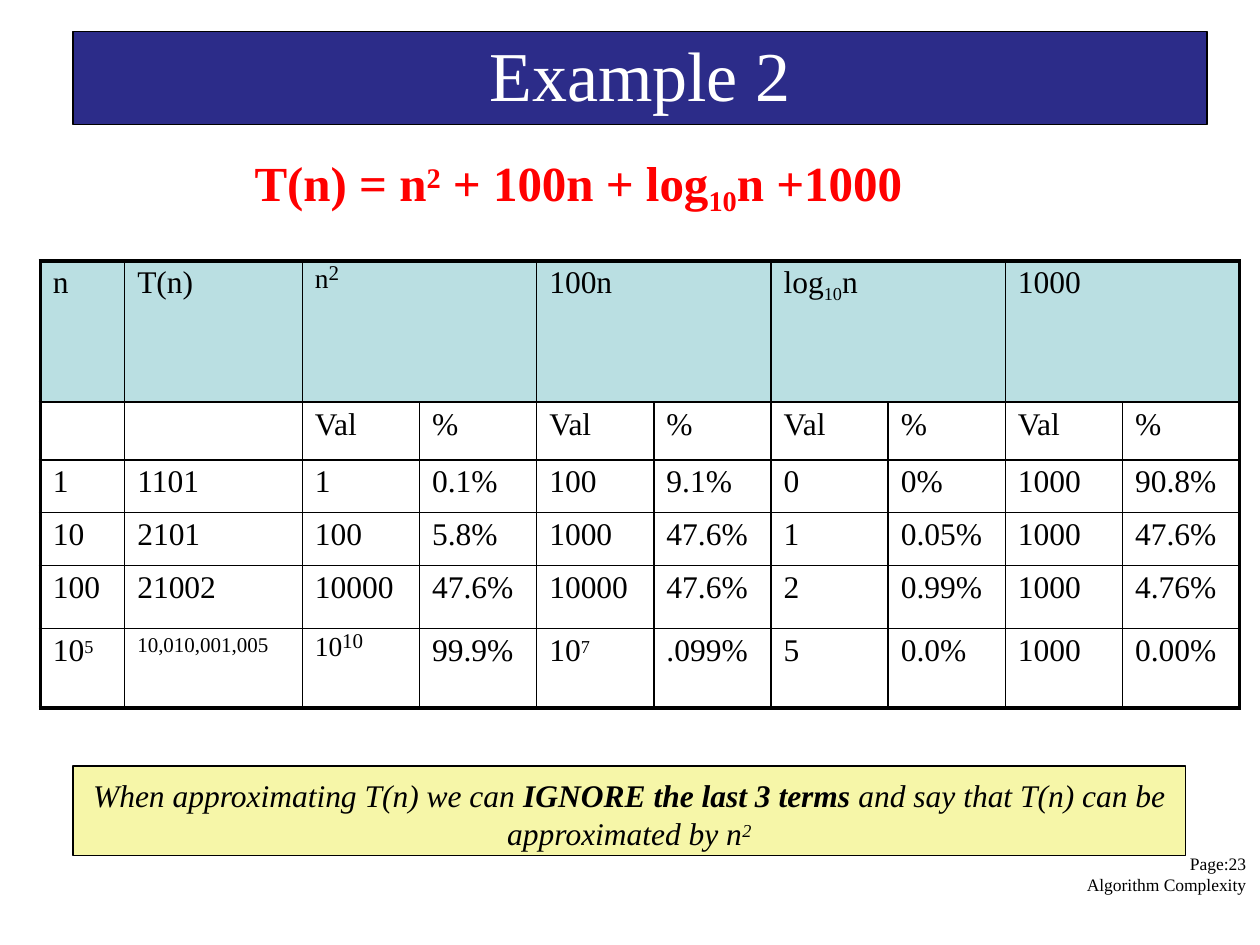
import pptx
import pptx.dml.color
import pptx.enum.shapes
import pptx.enum.text
import pptx.oxml
import pptx.oxml.ns
import pptx.util

Inches = pptx.util.Inches
Pt = pptx.util.Pt
RGBColor = pptx.dml.color.RGBColor
ALIGN = pptx.enum.text.PP_ALIGN

NAVY = RGBColor(0x2C, 0x2C, 0x89)
WHITE = RGBColor(0xFF, 0xFF, 0xFF)
BLACK = RGBColor(0, 0, 0)
RED = RGBColor(0xFF, 0, 0)
TEAL = RGBColor(0xBA, 0xDF, 0xE2)
CREAM = RGBColor(0xF6, 0xF6, 0xA8)
FACE = "Times New Roman"

COLS = [0.67, 1.41] + [0.93] * 8
ROWS = [1.12, 0.46, 0.42, 0.42, 0.5, 0.63]


def tall(base, power):
    """Return the runs of a lowered large base with a small power."""
    return [(base, -17, 27), (power, 0, 12)]


HEAD = ["n", "T(n)", tall("n", "2"), "100n", ["log", ("10", -21), "n"], "1000"]
BODY = [
    ["", ""] + ["Val", "%"] * 4,
    ["1", "1101", "1", "0.1%", "100", "9.1%", "0", "0%", "1000", "90.8%"],
    ["10", "2101", "100", "5.8%", "1000", "47.6%", "1", "0.05%", "1000", "47.6%"],
    ["100", "21002", "10000", "47.6%", "10000", "47.6%", "2", "0.99%", "1000", "4.76%"],
    [["10", ("5", 25)], [("10,010,001,005", 0, 12)], tall("10", "10"), "99.9%",
     ["10", ("7", 25)], ".099%", "5", "0.0%", "1000", "0.00%"],
]


def write(par, runs, size, color=BLACK, align=ALIGN.LEFT):
    """Fill a paragraph with runs given as text or (text, baseline, size)."""
    par.alignment = align
    par.font.name = FACE
    par.font.size = Pt(size)
    par.font.color.rgb = color
    for item in [runs] if isinstance(runs, str) else runs:
        text, base, *own = (item, 0) if isinstance(item, str) else item
        run = par.add_run()
        run.text = text
        if base:
            run.font._element.set("baseline", str(base * 1000))
        if own:
            run.font.size = Pt(own[0])
    return par


def pad(frame, top=0):
    """Wrap a text frame and leave only a top margin."""
    frame.word_wrap = True
    frame.auto_size = pptx.enum.text.MSO_AUTO_SIZE.NONE
    frame.vertical_anchor = pptx.enum.text.MSO_ANCHOR.TOP
    frame.margin_left = frame.margin_right = frame.margin_bottom = 0
    frame.margin_top = Inches(top)
    return frame.paragraphs[0]


def paint(shape, color):
    """Give a shape a solid fill and a thin black line."""
    shape.fill.solid()
    shape.fill.fore_color.rgb = color
    shape.line.color.rgb = BLACK
    shape.line.width = Pt(0.75)


def add_title(slide, left, top, width, height):
    """Place the title banner."""
    title = slide.shapes.title
    title.left, title.top, title.width, title.height = left, top, width, height
    paint(title, NAVY)
    write(pad(title.text_frame), "Example 2", 40, WHITE, ALIGN.CENTER)


def add_sum(slide, left, top, width, height):
    """Place the formula for T(n)."""
    box = slide.shapes.add_textbox(left, top, width, height)
    runs = ["T(n) = n", ("2", 26), " + 100n + log", ("10", -21), "n +1000"]
    par = write(pad(box.text_frame, 0.02), runs, 28, RED)
    par.font.bold = True
    box.text_frame.margin_left = Inches(0.04)


def edge(cell, side, width):
    """Draw one black border of a cell."""
    line = pptx.oxml.parse_xml(
        f'<a:ln{side} {pptx.oxml.ns.nsdecls("a")} w="{Pt(width)}">'
        f'<a:solidFill><a:srgbClr val="{BLACK}"/></a:solidFill></a:ln{side}>')
    cell._tc.get_or_add_tcPr().append(line)


def set_cell(grid, row, col, runs, span=1):
    """Write and style one cell, with thick borders on the table's rim."""
    cell = grid.cell(row, col)
    if span > 1:
        cell.merge(grid.cell(row, col + span - 1))
    high = isinstance(runs, list) and runs[0][1] == -17
    cell.margin_left = Inches(0.1)
    cell.margin_right = cell.margin_bottom = 0
    cell.margin_top = Inches(0 if high else 0.04)
    rims = {"L": col == 0, "R": col + span == len(COLS),
            "T": row == 0, "B": row == len(ROWS) - 1}
    for side, rim in rims.items():
        edge(cell, side, 2.25 if rim else 1)
    if row == 0:
        cell.fill.solid()
        cell.fill.fore_color.rgb = TEAL
    else:
        cell.fill.background()
    if runs:
        par = write(cell.text_frame.paragraphs[0], runs, 18)
        if high:
            par.line_spacing = Pt(19.2)


def add_grid(slide, left, top, width, height):
    """Place the table of term values and shares."""
    grid = slide.shapes.add_table(len(ROWS), len(COLS), left, top, width, height).table
    grid.first_row = grid.horz_banding = False
    for col, size in zip(grid.columns, COLS):
        col.width = Inches(size)
    for row, size in zip(grid.rows, ROWS):
        row.height = Inches(size)
    for num, runs in enumerate(HEAD):
        if num < 2:
            set_cell(grid, 0, num, runs)
        else:
            set_cell(grid, 0, 2 * num - 2, runs, 2)
    for row, line in enumerate(BODY, 1):
        for col, runs in enumerate(line):
            set_cell(grid, row, col, runs)


def add_note(slide, left, top, width, height):
    """Place the closing remark."""
    box = slide.shapes.add_shape(
        pptx.enum.shapes.MSO_SHAPE.RECTANGLE, left, top, width, height)
    box.shadow.inherit = False
    paint(box, CREAM)
    runs = ["When approximating T(n) we can ", "IGNORE the last 3 terms",
            " and say that T(n) can be approximated by n", ("2", 25)]
    par = write(pad(box.text_frame, 0.08), runs, 18, align=ALIGN.CENTER)
    par.font.italic = True
    par.runs[1].font.bold = True


def add_foot(slide, left, top, width, height):
    """Place the page number and the course name."""
    box = slide.shapes.add_textbox(left, top, width, height)
    first = pad(box.text_frame)
    for par, text in ((first, "Page:23"),
                      (box.text_frame.add_paragraph(), "Algorithm Complexity")):
        write(par, text, 10, align=ALIGN.RIGHT).line_spacing = Pt(12)


def main():
    """Build and save the slide."""
    deck = pptx.Presentation()
    deck.slide_width, deck.slide_height = Inches(10), Inches(7.5)
    slide = deck.slides.add_slide(deck.slide_layouts[5])
    parts = [
        (add_foot, 8.42, 6.77, 1.47, 0.34),
        (add_title, 0.58, 0.25, 9, 0.74),
        (add_sum, 1.98, 1.19, 5.29, 0.49),
        (add_grid, 0.32, 2.07, sum(COLS), sum(ROWS)),
        (add_note, 0.58, 6.08, 8.83, 0.71),
    ]
    for place, *box in parts:
        place(slide, *map(Inches, box))
    deck.save("out.pptx")


if __name__ == "__main__":
    main()
